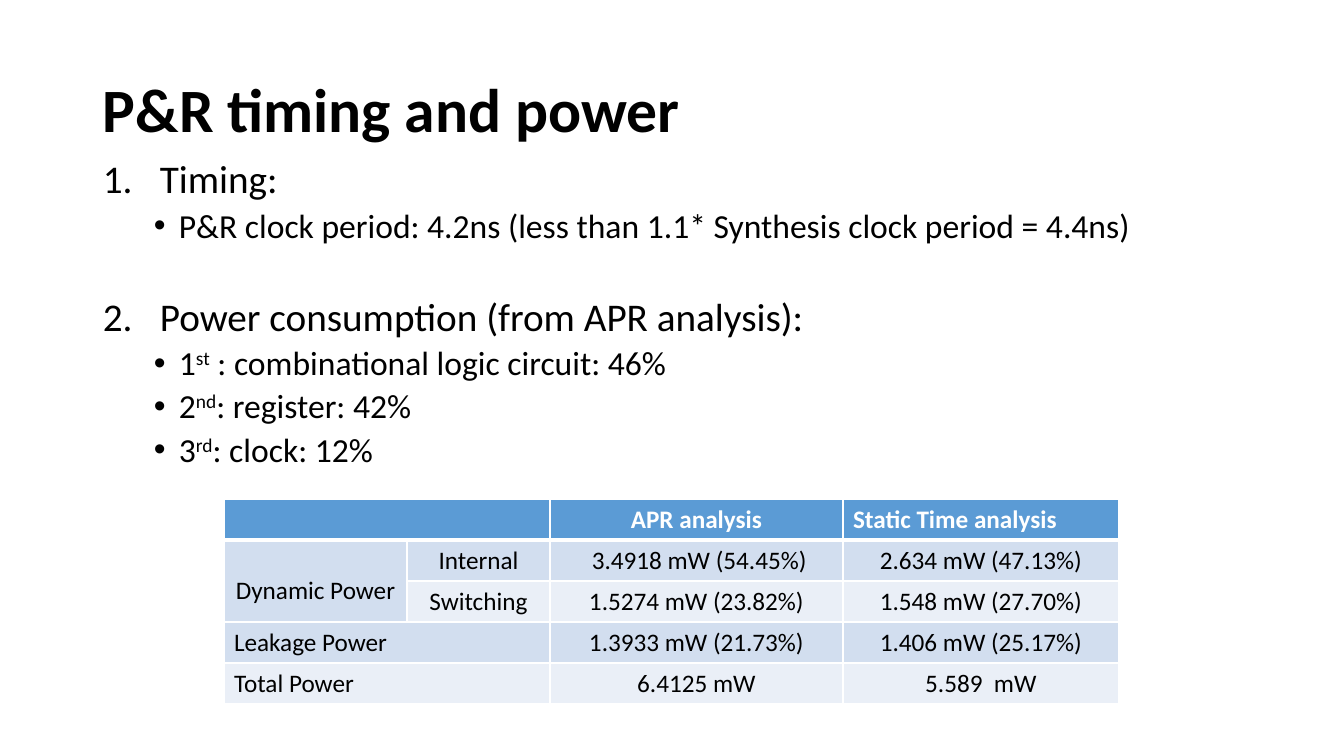
from lxml import etree
from pptx import Presentation
from pptx.dml.color import RGBColor
from pptx.enum import text
from pptx.oxml import ns
from pptx import util as u

BLACK = RGBColor(0, 0, 0)
WHITE = RGBColor(255, 255, 255)
BLUE = RGBColor(0x5B, 0x9B, 0xD5)
BANDS = RGBColor(0xD2, 0xDE, 0xEF), RGBColor(0xEA, 0xEF, 0xF7)
FONT = "Calibri"
MID = text.PP_ALIGN.CENTER

# Each item: level, space before in points, runs (odd runs are superscript)
ITEMS = [
    (0, 10, ["Timing:"]),
    (1, 5, ["P&R clock period: 4.2ns (less than 1.1* Synthesis clock period = 4.4ns)"]),
    (0, 37, ["Power consumption (from APR analysis): "]),
    (1, 5, ["1", "st", " : combinational logic circuit: 46%"]),
    (1, 5, ["2", "nd", ": register: 42%"]),
    (1, 5, ["3", "rd", ": clock: 12%"]),
]
# Size, left margin, hanging indent and bullet of each level
LEVELS = [
    (28, 57, 57, ("buAutoNum", "type", "arabicPeriod")),
    (24, 76, 25, ("buChar", "char", "•")),
]
ROWS = [
    ["", "", "APR analysis", "Static Time analysis"],
    ["Dynamic Power", "Internal", " 3.4918 mW (54.45%)", "2.634 mW (47.13%)"],
    ["", "Switching", "1.5274 mW (23.82%)", "1.548 mW (27.70%)"],
    ["Leakage Power", "", "1.3933 mW (21.73%)", "1.406 mW (25.17%)"],
    ["Total Power", "", "6.4125 mW", "5.589  mW"],
]
COLS = [183, 143, 293, 276]
ROW = 41
LEFT = {(0, 3), (3, 0), (4, 0)}
SPANS = [((0, 0), (0, 1)), ((1, 0), (2, 0)), ((3, 0), (3, 1)), ((4, 0), (4, 1))]


def px(num):
    """Turn pixels into EMU."""
    return u.Emu(round(num * 914400 / 100.8))


def add(node, tag, **attrs):
    """Append a drawing element to a node."""
    return etree.SubElement(node, ns.qn("a:" + tag), attrs)


def write(para, runs, size, bold=False, color=BLACK, align=None, line=None, before=None):
    """Fill a paragraph with runs; every second run is superscript."""
    para.alignment, para.line_spacing = align, line
    if before is not None:
        para.space_before = u.Pt(before)
    for i, words in enumerate(runs):
        run = para.add_run()
        run.text = words
        font = run.font
        font.name, font.size, font.bold = FONT, u.Pt(size), bold
        font.color.rgb = color
        if i % 2:
            font._element.set("baseline", "30000")


def box(slide, x, y, w, h, anchor):
    """Add a wrapping text box and return its frame."""
    frame = slide.shapes.add_textbox(px(x), px(y), px(w), px(h)).text_frame
    frame.word_wrap = True
    frame.vertical_anchor = anchor
    return frame


def bullet(para, left, hang, mark):
    """Give a paragraph a hanging bullet or number."""
    props = para._p.get_or_add_pPr()
    props.set("marL", str(px(left)))
    props.set("indent", str(-px(hang)))
    tag, key, value = mark
    add(props, "buFont", typeface="Arial" if tag == "buChar" else "+mj-lt")
    add(props, tag, **{key: value})


def outline(frame):
    """Write the numbered and bulleted list."""
    for i, (level, gap, runs) in enumerate(ITEMS):
        para = frame.add_paragraph() if i else frame.paragraphs[0]
        size, left, hang, mark = LEVELS[level]
        para.level = level
        write(para, runs, size, line=0.9, before=gap)
        bullet(para, left, hang, mark)


def edge(cell, head):
    """Draw white borders, with a thick one under the header."""
    props = cell._tc.get_or_add_tcPr()
    for i, side in enumerate("LRTB"):
        thick = (side, head) in (("B", True), ("T", False))
        line = add(props, "ln" + side, w=str(u.Pt(3 if thick else 1)))
        add(add(line, "solidFill"), "srgbClr", val=str(WHITE))
        props.insert(i, line)


def grid(slide, x, y):
    """Add the power table."""
    table = slide.shapes.add_table(
        len(ROWS), len(COLS), px(x), px(y), px(sum(COLS)), px(ROW * len(ROWS))).table
    for col, width in zip(table.columns, COLS):
        col.width = px(width)
    for r, row in enumerate(ROWS):
        table.rows[r].height = px(ROW)
        head = r == 0
        for c, words in enumerate(row):
            cell = table.cell(r, c)
            cell.fill.solid()
            cell.fill.fore_color.rgb = BLUE if head else BANDS[(r - 1) % 2]
            # only the row right below the header shares its thick border
            edge(cell, head if r < 2 else None)
            write(cell.text_frame.paragraphs[0], [words] if words else [], 18,
                  bold=head, color=WHITE if head else BLACK,
                  align=None if (r, c) in LEFT else MID,
                  line=2.0 if (r, c) == (1, 0) else None)
    for start, end in SPANS:
        table.cell(*start).merge(table.cell(*end))


def main():
    """Build and save the slide."""
    deck = Presentation()
    deck.slide_width, deck.slide_height = px(1344), px(756)
    slide = deck.slides.add_slide(deck.slide_layouts[6])
    title = box(slide, 93, 40, 1159, 146, text.MSO_ANCHOR.MIDDLE)
    write(title.paragraphs[0], ["P&R timing and power"], 44, bold=True, line=0.9)
    outline(box(slide, 93, 155, 1159, 480, text.MSO_ANCHOR.TOP))
    grid(slide, 224, 499)
    deck.save("out.pptx")


main()
